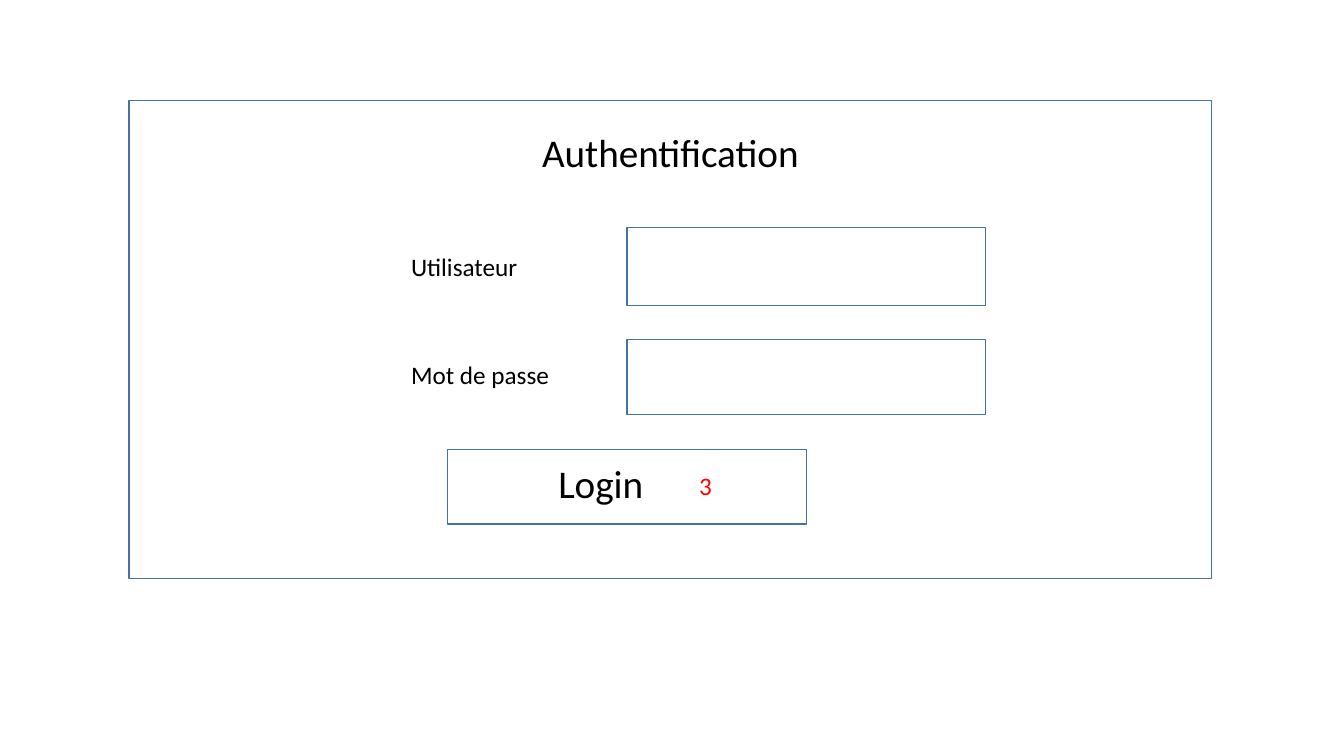
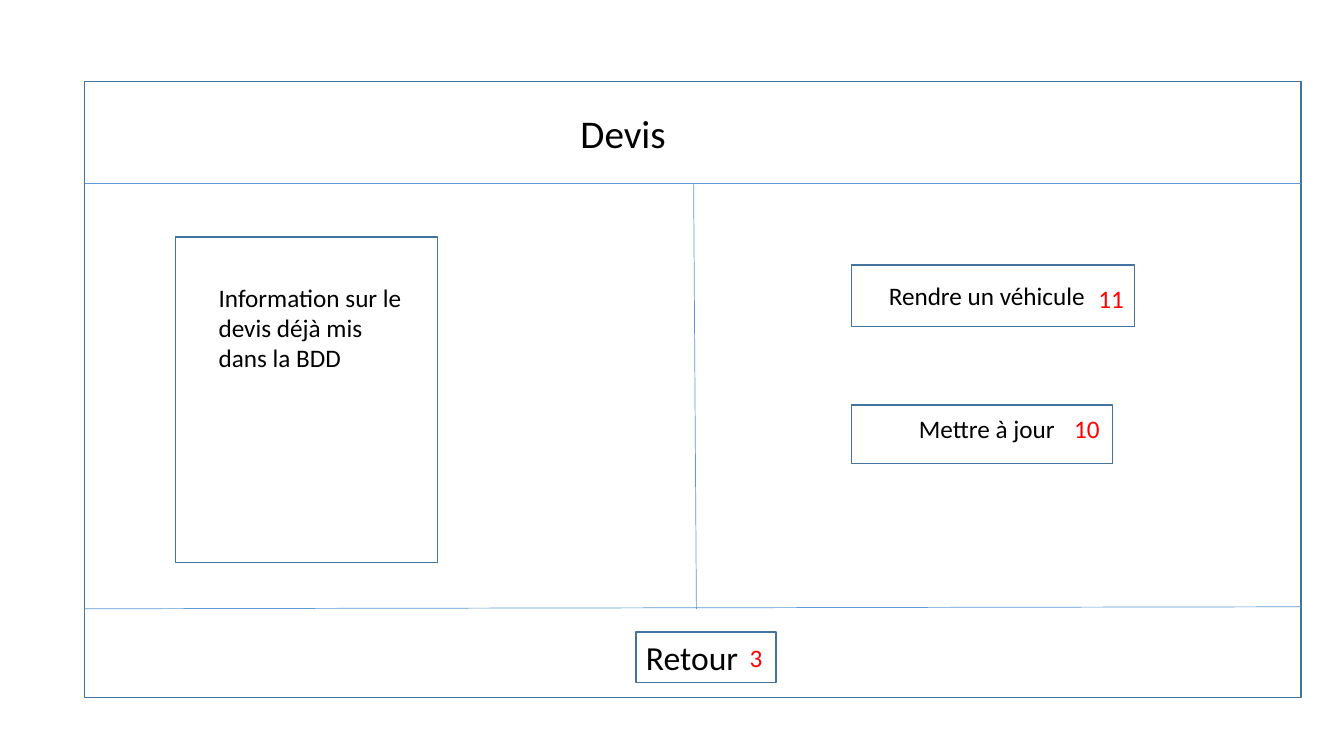
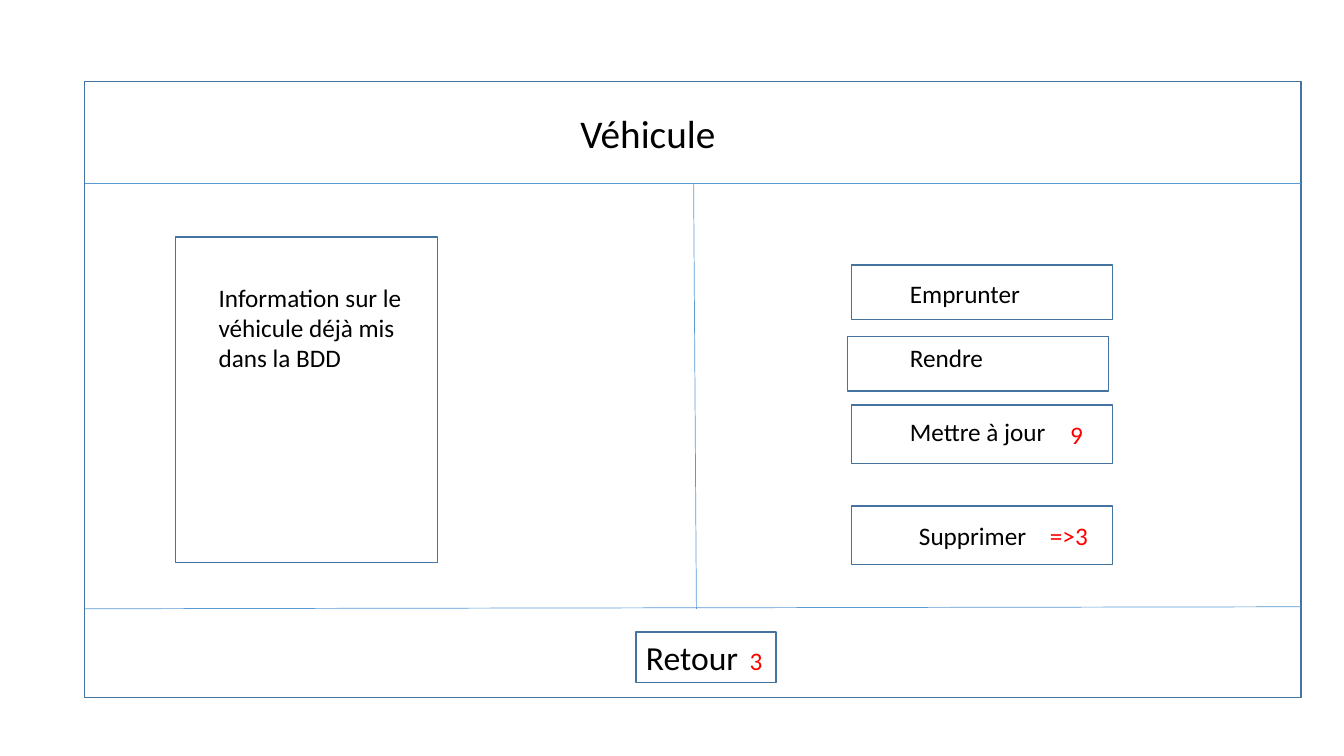
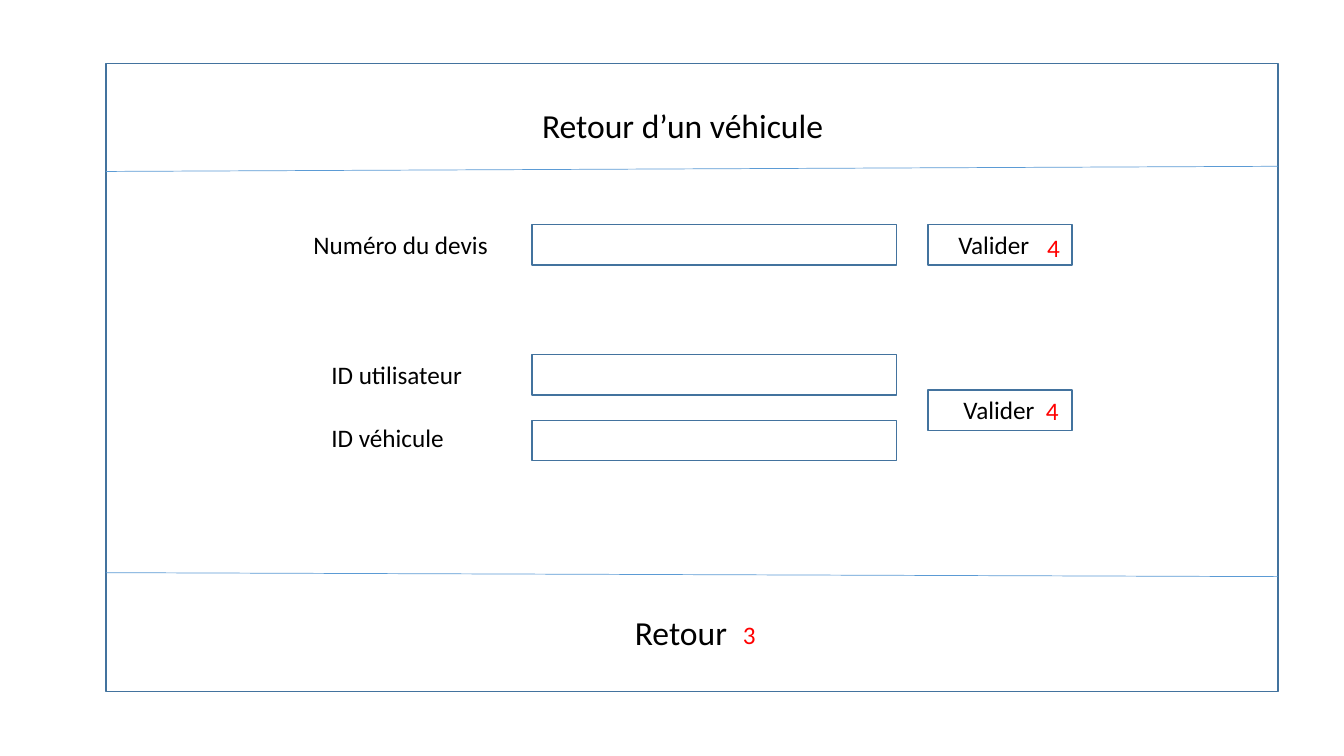
"""Build four wireframe screens of a vehicle rental application."""
from lxml import etree
from pptx import Presentation
from pptx.dml.color import RGBColor
from pptx.enum.shapes import MSO_CONNECTOR, MSO_SHAPE
from pptx.enum.text import MSO_AUTO_SIZE
from pptx.oxml.ns import qn
from pptx.util import Cm, Pt

RECT = MSO_SHAPE.RECTANGLE
LINE = MSO_CONNECTOR.STRAIGHT
GROW = MSO_AUTO_SIZE.SHAPE_TO_FIT_TEXT

EDGE, RULE, INK, RED = "43739E", "5B9BD5", "000000", "FF0000"
STYLES = {
    "title": dict(size=28, color=INK, wrap=True, high=1.45),
    "head": dict(size=24, color=INK, wrap=False, high=1.28),
    "label": dict(size=18, color=INK, wrap=False, high=1.03),
    "info": dict(size=18, color=INK, wrap=True, high=2.57),
    "note": dict(size=18, color=RED, wrap=False, high=1.03),
}

LOGIN = dict(
    boxes=[(3.25, 2.54, 27.28, 12.04), (15.8, 5.74, 9.04, 1.96),
           (15.8, 8.56, 9.04, 1.88), (11.28, 11.33, 9.04, 1.88)],
    rules=[],
    texts=[("title", "Authentification", 13.41, 3.12, 7.32),
           ("label", "Utilisateur", 10.11, 6.2, 3.23),
           ("label", "Mot de passe", 10.11, 8.92, 4.04),
           ("title", "Login", 13.82, 11.46, 3.96),
           ("note", "3", 17.37, 11.73, 0.84)])


def sheet(title, info, boxes, texts):
    """Return a detail screen: the common frame plus its own buttons."""
    return dict(
        boxes=[(2.13, 2.06, 30.66, 15.52), (4.42, 5.97, 6.6, 8.2),
               (16.03, 15.93, 3.53, 1.27)] + boxes,
        rules=[(2.13, 4.62, 32.79, 4.62), (2.13, 15.34, 32.79, 15.29),
               (17.48, 4.62, 17.55, 15.34)],
        texts=[("title", title, 14.38, 2.62, 6.2),
               ("info", info, 5.26, 6.99, 5.18),
               ("head", "Retour", 16.03, 15.93, 2.87)] + texts)


QUOTE = sheet(
    "Devis", "Information sur le devis déjà mis dans la BDD",
    [(21.46, 6.68, 7.14, 1.55), (21.46, 10.21, 6.58, 1.47)],
    [("label", "Rendre un véhicule", 22.15, 6.93, 5.51),
     ("note", "11", 27.43, 7.01, 1.17),
     ("label", "Mettre à jour ", 22.91, 10.29, 4.14),
     ("note", "10", 26.82, 10.29, 1.17),
     ("note", "3", 18.64, 16.05, 0.84)])

CAR = sheet(
    "Véhicule", "Information sur le véhicule déjà mis dans la BDD",
    [(21.46, 6.68, 6.58, 1.37), (21.36, 8.48, 6.58, 1.37),
     (21.46, 10.21, 6.58, 1.47), (21.46, 12.75, 6.58, 1.47)],
    [("label", "Emprunter ", 22.68, 6.88, 3.48),
     ("label", "Rendre ", 22.68, 8.51, 2.54),
     ("label", "Mettre à jour ", 22.68, 10.36, 4.14),
     ("note", "9", 26.72, 10.44, 0.84),
     ("label", "Supprimer", 22.91, 12.98, 3.25),
     ("note", "=>3", 26.21, 12.98, 1.47),
     ("note", "3", 18.64, 16.13, 0.84)])

RETURN = dict(
    boxes=[(2.67, 1.6, 29.54, 15.82)]
    + [(13.41, top, 9.19, 1.02) for top in (5.66, 8.94, 10.59)]
    + [(23.39, top, 3.63, 1.02) for top in (5.66, 9.83)],
    rules=[(2.67, 4.32, 32.21, 4.19), (2.67, 14.43, 32.21, 14.53)],
    texts=[("head", "Retour d’un véhicule", 13.41, 2.51, 7.67),
           ("label", "Numéro du devis", 7.65, 5.66, 4.95),
           ("label", "Valider", 23.9, 5.66, 2.34),
           ("note", "4", 26.14, 5.74, 0.84),
           ("label", "ID utilisateur", 8.1, 8.94, 3.86),
           ("label", "ID véhicule", 8.1, 10.52, 3.38),
           ("label", "Valider", 24.03, 9.8, 2.34),
           ("note", "4", 26.11, 9.83, 0.84),
           ("head", "Retour", 15.75, 15.29, 2.87),
           ("note", "3", 18.47, 15.49, 0.84)])


def tint(part, color):
    """Set a solid colour on a line."""
    part.fill.solid()
    part.fill.fore_color.rgb = RGBColor.from_string(color)


def box(slide, *place):
    """Draw an unfilled, outlined rectangle."""
    shape = slide.shapes.add_shape(RECT, *map(Cm, place))
    shape.shadow.inherit = False
    shape.fill.background()
    tint(shape.line, EDGE)
    shape.line.width = Pt(1)


def rule(slide, *ends):
    """Draw a thin dividing line."""
    link = slide.shapes.add_connector(LINE, *map(Cm, ends))
    tint(link.line, RULE)
    link.line.width = Pt(0.5)
    etree.SubElement(link._element.spPr, qn("a:effectLst"))


def write(slide, kind, text, left, top, wide):
    """Place one text in the style of its kind."""
    style = STYLES[kind]
    place = map(Cm, (left, top, wide, style["high"]))
    frame = slide.shapes.add_textbox(*place).text_frame
    frame.word_wrap = style["wrap"]
    frame.auto_size = GROW
    run = frame.paragraphs[0].add_run()
    run.text = text
    for key, value in dict(name="Calibri", size=Pt(style["size"])).items():
        setattr(run.font, key, value)
    run.font.color.rgb = RGBColor.from_string(style["color"])


deck = Presentation()
deck.slide_width, deck.slide_height = Cm(33.87), Cm(19.05)
for screen in (LOGIN, QUOTE, CAR, RETURN):
    slide = deck.slides.add_slide(deck.slide_layouts[6])
    for draw, key in ((box, "boxes"), (rule, "rules"), (write, "texts")):
        for item in screen[key]:
            draw(slide, *item)
deck.save("out.pptx")
